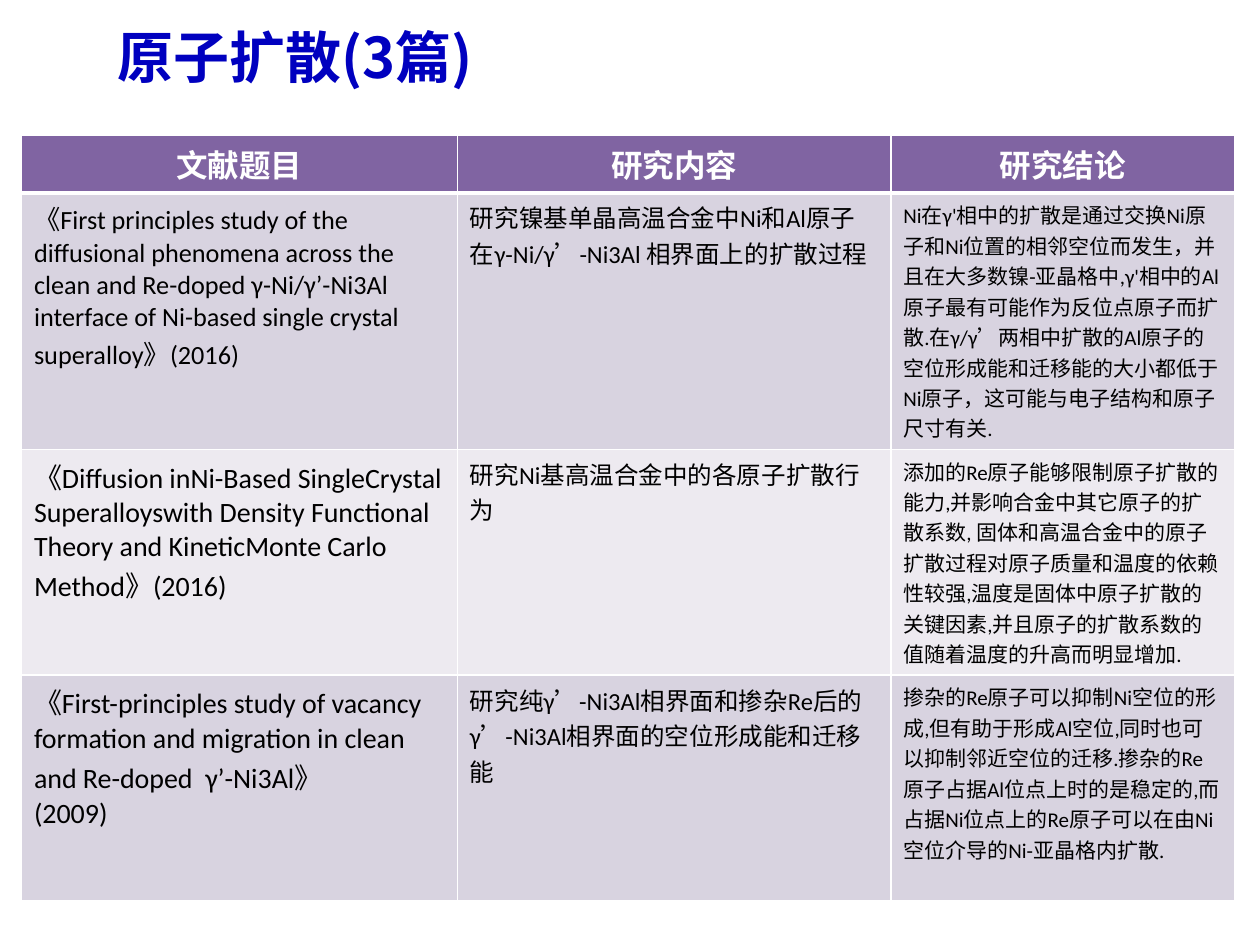
from lxml.etree import SubElement
from pptx import Presentation
from pptx.dml.color import RGBColor
from pptx.enum.text import MSO_ANCHOR, PP_ALIGN
from pptx.oxml.ns import qn
from pptx.util import Inches, Pt

# Content: each cell is a list of paragraphs
TITLE = "原子扩散(3篇)"
HEADERS = ["文献题目", "研究内容", "研究结论"]
PAPERS = [
    [
        ["《First principles study of the diffusional phenomena across the clean and "
         "Re-doped γ-Ni/γ’-Ni3Al interface of Ni-based single crystal",
         "superalloy》(2016)"],
        ["研究镍基单晶高温合金中Ni和Al原子在γ-Ni/γ’-Ni3Al 相界面上的扩散过程"],
        ["Ni在γ'相中的扩散是通过交换Ni原子和Ni位置的相邻空位而发生，并且在大多数镍-亚晶格中,"
         "γ'相中的Al原子最有可能作为反位点原子而扩散.在γ/γ’两相中扩散的Al原子的空位形成能和"
         "迁移能的大小都低于Ni原子，这可能与电子结构和原子尺寸有关."],
    ],
    [
        ["《Diffusion inNi-Based SingleCrystal Superalloyswith Density Functional "
         "Theory and KineticMonte Carlo",
         "Method》(2016)"],
        ["研究Ni基高温合金中的各原子扩散行为"],
        ["添加的Re原子能够限制原子扩散的能力,并影响合金中其它原子的扩散系数, "
         "固体和高温合金中的原子扩散过程对原子质量和温度的依赖性较强,"
         "温度是固体中原子扩散的关键因素,并且原子的扩散系数的值随着温度的升高而明显增加."],
    ],
    [
        ["《First-principles study of vacancy formation and migration in clean and "
         "Re-doped  γ’-Ni3Al》",
         "(2009)"],
        ["研究纯γ’-Ni3Al相界面和掺杂Re后的γ’-Ni3Al相界面的空位形成能和迁移能"],
        ["掺杂的Re原子可以抑制Ni空位的形成,但有助于形成Al空位,同时也可以抑制邻近空位的迁移."
         "掺杂的Re原子占据Al位点上时的是稳定的,而占据Ni位点上的Re原子可以在由Ni空位介导的"
         "Ni-亚晶格内扩散."],
    ],
]
COLUMN_WIDTHS = [3.46, 3.44, 2.73]
ROW_HEIGHTS = [0.39, 1.41, 1.09, 1.46]

THEME = {
    "title": {"name": "Noto Sans CJK SC", "size": Pt(32), "bold": True, "color": "0000BF"},
    "header": {"name": "Calibri", "size": Pt(18), "bold": True, "color": "FFFFFF"},
    "body": {"name": "Calibri", "bold": False, "color": "000000"},
    "body_sizes": [[15, 14, 12], [16, 14, 12], [16, 14, 12]],
    "header_fill": "8064A2",
    "band_fills": ["D8D3E0", "EDEAF0"],
    "border": "FFFFFF",
}


def format_font(font, values):
    for name, value in values.items():
        if name == "color":
            font.color.rgb = RGBColor.from_string(value)
        else:
            setattr(font, name, value)


def set_borders(cell, bottom_width):
    properties = cell._tc.get_or_add_tcPr()
    widths = {"a:lnL": 1, "a:lnR": 1, "a:lnT": 1, "a:lnB": bottom_width}
    for position, (tag, width) in enumerate(widths.items()):
        line = SubElement(properties, qn(tag), w=str(Pt(width)))
        fill = SubElement(line, qn("a:solidFill"))
        SubElement(fill, qn("a:srgbClr"), val=THEME["border"])
        properties.insert(position, line)  # borders precede the fill


def write_cell(cell, paragraphs, font_values, fill, alignment, bottom_width=1):
    cell.fill.solid()
    cell.fill.fore_color.rgb = RGBColor.from_string(fill)
    set_borders(cell, bottom_width)
    frame = cell.text_frame
    for index, text in enumerate(paragraphs):
        paragraph = frame.paragraphs[0] if index == 0 else frame.add_paragraph()
        paragraph.alignment = alignment
        run = paragraph.add_run()
        run.text = text
        format_font(run.font, font_values)


def add_title(slide):
    title = slide.shapes.title
    box = {"left": 0.83, "top": 0.01, "width": 9, "height": 0.87}
    for name, value in box.items():
        setattr(title, name, Inches(value))
    title.text_frame.vertical_anchor = MSO_ANCHOR.MIDDLE
    paragraph = title.text_frame.paragraphs[0]
    paragraph.alignment = PP_ALIGN.LEFT
    run = paragraph.add_run()
    run.text = TITLE
    format_font(run.font, THEME["title"])
    SubElement(run.font._element, qn("a:ea"), typeface=THEME["title"]["name"])


def add_papers_table(slide):
    table = slide.shapes.add_table(
        len(ROW_HEIGHTS), len(COLUMN_WIDTHS), Inches(0.17), Inches(1.07),
        Inches(sum(COLUMN_WIDTHS)), Inches(sum(ROW_HEIGHTS))).table
    for column, width in zip(table.columns, COLUMN_WIDTHS):
        column.width = Inches(width)
    for row, height in zip(table.rows, ROW_HEIGHTS):
        row.height = Inches(height)

    # Header row
    for column, text in enumerate(HEADERS):
        write_cell(table.cell(0, column), [text], THEME["header"],
                   THEME["header_fill"], PP_ALIGN.CENTER, bottom_width=3)

    # One banded row per paper
    for index, (paper, sizes) in enumerate(zip(PAPERS, THEME["body_sizes"])):
        fill = THEME["band_fills"][index % 2]
        for column, (paragraphs, size) in enumerate(zip(paper, sizes)):
            write_cell(table.cell(index + 1, column), paragraphs,
                       {**THEME["body"], "size": Pt(size)}, fill, PP_ALIGN.LEFT,)
    # The first body row keeps the heavy rule under the header
    for column in range(len(HEADERS)):
        top = table.cell(1, column)._tc.tcPr.find(qn("a:lnT"))
        top.set("w", str(Pt(3)))


def main():
    presentation = Presentation()
    presentation.slide_width = Inches(10)
    presentation.slide_height = Inches(7.5)
    slide = presentation.slides.add_slide(presentation.slide_layouts[5])
    add_title(slide)
    add_papers_table(slide)
    presentation.save("out.pptx")


if __name__ == "__main__":
    main()
